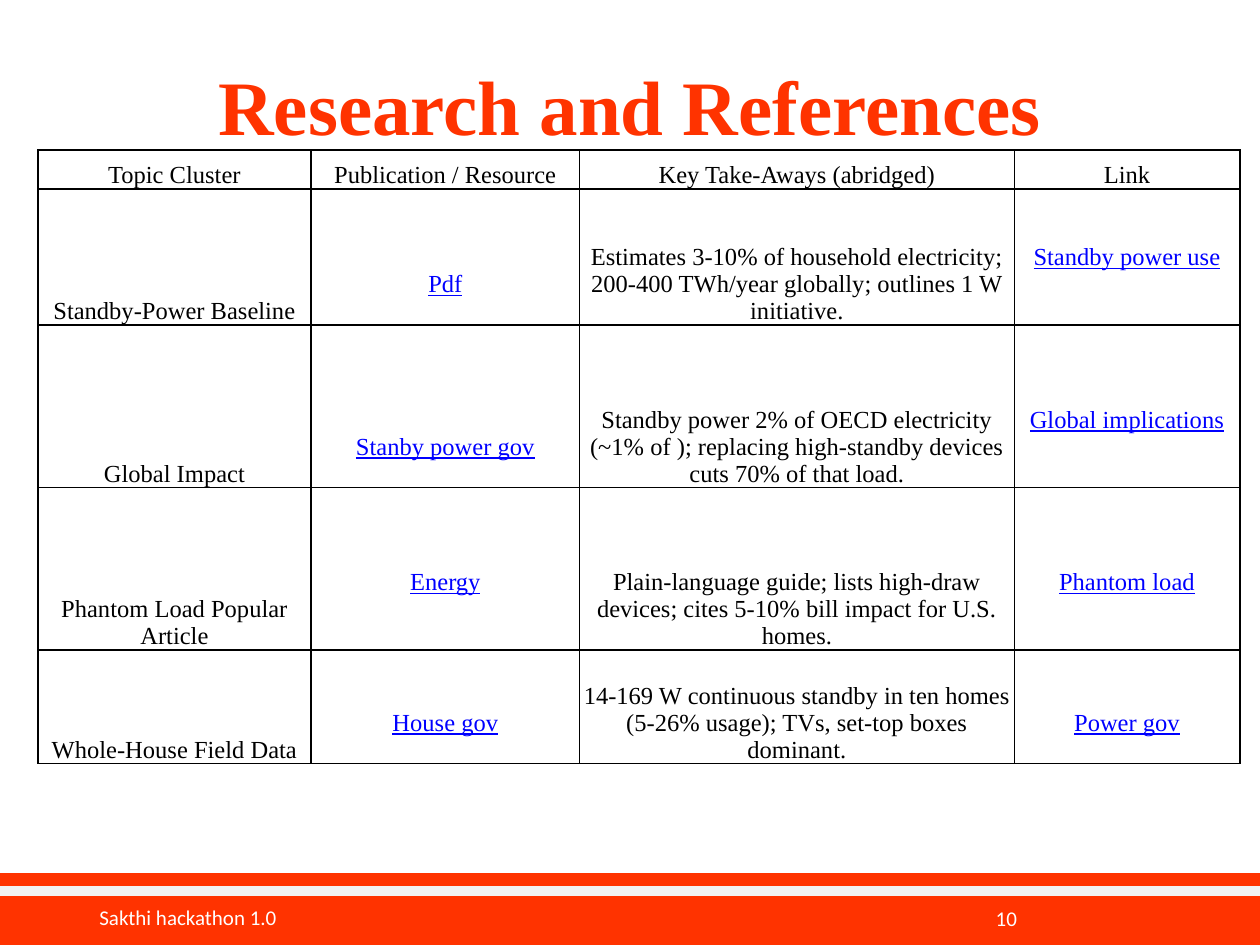
import pptx
import pptx.util
import pptx.dml.color
import pptx.enum.shapes
import pptx.enum.text
import pptx.oxml
import pptx.oxml.ns
from pptx.util import Inches, Pt

RGBColor = pptx.dml.color.RGBColor
ORANGE = RGBColor(0xFF, 0x33, 0x00)
PALE_GREY = RGBColor(0xF2, 0xF2, 0xF2)
WHITE = RGBColor(0xFF, 0xFF, 0xFF)
BLACK = RGBColor(0, 0, 0)
LINK_BLUE = RGBColor(0, 0, 0xFF)
ALIGN = pptx.enum.text.PP_ALIGN
ANCHOR = pptx.enum.text.MSO_ANCHOR


def add_label(left, top, width, height, text, font_name, size, color, align):
    frame = slide.shapes.add_textbox(
        Inches(left), Inches(top), Inches(width), Inches(height)).text_frame
    frame.word_wrap = True
    frame.vertical_anchor = ANCHOR.MIDDLE
    paragraph = frame.paragraphs[0]
    paragraph.text = text
    paragraph.alignment = align
    paragraph.font.name = font_name
    paragraph.font.size = Pt(size)
    paragraph.font.color.rgb = color
    return paragraph


def add_borders(cell):
    """Draw a 1 pt black line on all four sides, ahead of the cell's fill."""
    properties = cell._tc.get_or_add_tcPr()
    for position, side in enumerate(("lnL", "lnR", "lnT", "lnB")):
        properties.insert(position, pptx.oxml.parse_xml(
            f'<a:{side} {pptx.oxml.ns.nsdecls("a")} w="{Pt(1)}"><a:solidFill>'
            f'<a:srgbClr val="{BLACK}"/></a:solidFill></a:{side}>'))


prs = pptx.Presentation()
prs.slide_width, prs.slide_height = Inches(10), Inches(7.5)
slide = prs.slides.add_slide(prs.slide_layouts[6])

# Footer band
band = slide.shapes.add_shape(
    pptx.enum.shapes.MSO_SHAPE.RECTANGLE,
    Inches(-0.02), Inches(6.93), Inches(10.02), Inches(0.57))
band.shadow.inherit = False
band.fill.solid()
band.fill.fore_color.rgb = ORANGE
band.line.fill.background()

stripe = slide.shapes.add_connector(
    pptx.enum.shapes.MSO_CONNECTOR.STRAIGHT,
    Inches(-0.02), Inches(7.07), Inches(10), Inches(7.07))
stripe.line.color.rgb = PALE_GREY
stripe.line.width = Pt(6)
stripe._element.spPr.append(pptx.oxml.parse_xml(
    f'<a:effectLst {pptx.oxml.ns.nsdecls("a")}/>'))

# Title and footer text
title = add_label(0.69, 0.4, 8.62, 0.96, "Research and References",
                  "Times New Roman", 44, ORANGE, ALIGN.CENTER)
title.font.bold = True
title.line_spacing = 0.9
add_label(7.06, 7.14, 1.11, 0.29, "10", "Calibri", 12, WHITE, ALIGN.RIGHT)
add_label(0.69, 7.14, 2.25, 0.28, "Sakthi hackathon 1.0",
          "Calibri", 12, WHITE, ALIGN.LEFT)

# Reference table
column_widths = [2.17, 2.13, 3.45, 1.79]
row_heights = [0.31, 1.08, 1.29, 1.29, 0.9]
references = [
    ["Topic Cluster", "Publication / Resource", "Key Take-Aways (abridged)", "Link"],
    ["Standby-Power Baseline", "Pdf",
     "Estimates 3-10% of household electricity; 200-400 TWh/year globally; "
     "outlines 1 W initiative.", "Standby power use"],
    ["Global Impact", "Stanby power gov",
     "Standby power 2% of OECD electricity (~1% of ); replacing high-standby "
     "devices cuts 70% of that load.", "Global implications"],
    ["Phantom Load Popular Article", "Energy",
     "Plain-language guide; lists high-draw devices; cites 5-10% bill impact "
     "for U.S. homes.", "Phantom load"],
    ["Whole-House Field Data", "House gov",
     "14-169 W continuous standby in ten homes (5-26% usage); TVs, set-top "
     "boxes dominant.", "Power gov"],
]
LINE_HEIGHT = 0.215
# Text lines by which each link stands above the cell bottom, by (row, column)
link_lift = {(1, 1): 1, (1, 3): 2, (2, 1): 1, (2, 3): 2,
             (3, 1): 2, (3, 3): 2, (4, 1): 1, (4, 3): 1}

table = slide.shapes.add_table(
    len(row_heights), len(column_widths), Inches(0.3), Inches(1.19),
    Inches(sum(column_widths)), Inches(sum(row_heights))).table
table.first_row = False
table.horz_banding = False
for column, width in zip(table.columns, column_widths):
    column.width = Inches(width)
for row, height in zip(table.rows, row_heights):
    row.height = Inches(height)

for r, entries in enumerate(references):
    for c, entry in enumerate(entries):
        is_link = (r, c) in link_lift
        cell = table.cell(r, c)
        cell.fill.background()
        add_borders(cell)
        cell.vertical_anchor = ANCHOR.BOTTOM
        cell.margin_left = cell.margin_right = cell.margin_top = 0
        cell.margin_bottom = Inches(LINE_HEIGHT * link_lift.get((r, c), 0))
        paragraph = cell.text_frame.paragraphs[0]
        paragraph.text = entry
        paragraph.alignment = ALIGN.CENTER
        paragraph.font.name = "Times New Roman"
        paragraph.font.size = Pt(14)
        paragraph.font.color.rgb = LINK_BLUE if is_link else BLACK
        paragraph.font.underline = is_link

prs.save("out.pptx")
